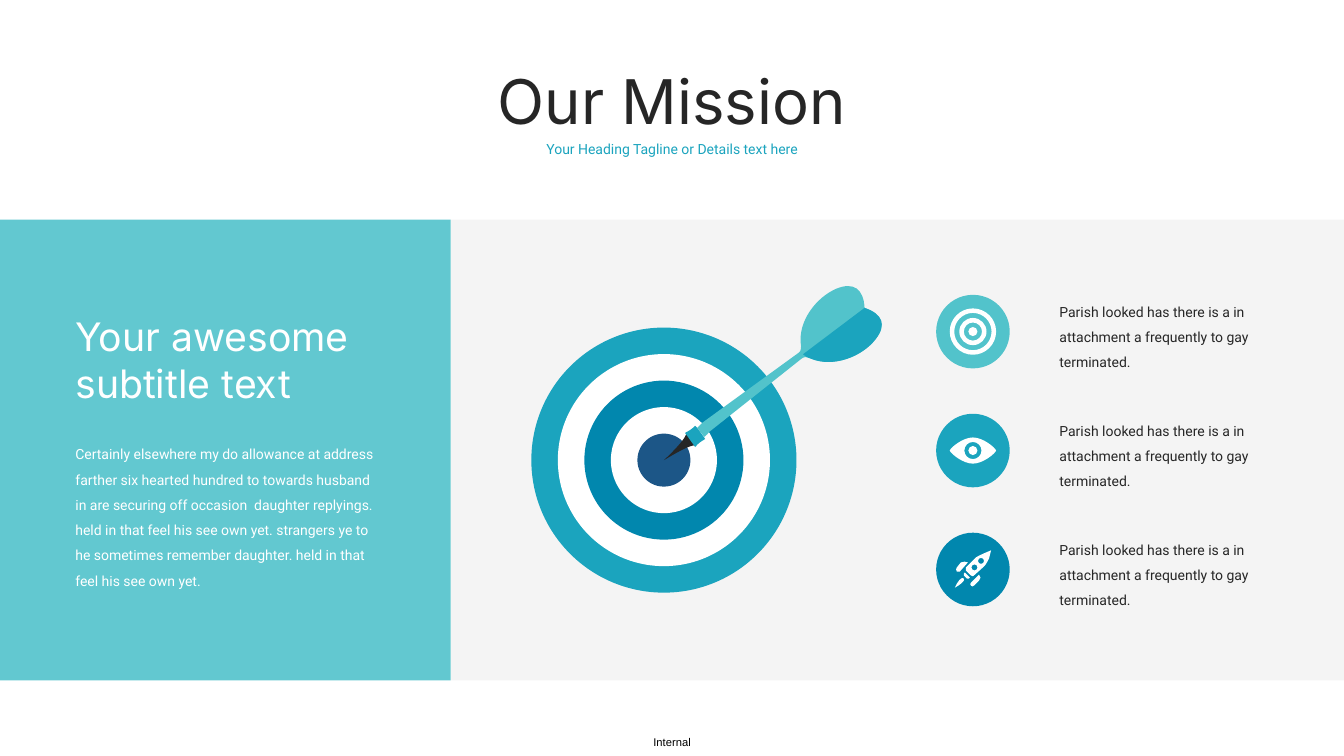
from lxml import etree
from pptx import Presentation, util as u
from pptx.dml.color import RGBColor
from pptx.enum import shapes, text
from pptx.oxml import ns

WHITE = RGBColor(0xFF, 0xFF, 0xFF)
BLACK = RGBColor(0, 0, 0)
INK = RGBColor(0x26, 0x26, 0x26)
PALE = RGBColor(0xF2, 0xF2, 0xF2)
AQUA = RGBColor(0x52, 0xC3, 0xCB)
TEAL = RGBColor(0x1B, 0xA4, 0xBE)
BLUE = RGBColor(0x01, 0x87, 0xAE)
NAVY = RGBColor(0x1C, 0x56, 0x87)

SLIDE_W, SLIDE_H = 13.33, 7.5
BAND_TOP, BAND_H, PANEL_W = 2.18, 4.57, 4.47


def circle(x, y, r):
    """Outline of a circle as four cubic curves."""
    k = .55 * r
    return [(x, y + r),
            (x - k, y + r, x - r, y + k, x - r, y), (x - r, y - k, x - k, y - r, x, y - r),
            (x + k, y - r, x + r, y - k, x + r, y), (x + r, y + k, x + k, y + r, x, y + r)]


# Outlines in inches from a centre: a pair is a corner, six numbers are a cubic curve
FIN_EDGE = [(1.40, -1.03, 1.42, -1.02, 1.45, -1.01), (1.68, -.91, 1.97, -1.03, 2.10, -1.20),
            (2.21, -1.34, 2.17, -1.45, 1.99, -1.51)]
DART = [
    # Shaft with upper fin, lower fin, tip, collar
    (AQUA, [(.40, -.23), (.42, -.25, .44, -.26, .45, -.28), (1.37, -1.01), *FIN_EDGE,
            (1.98, -1.70, 1.88, -1.77, 1.71, -1.70), (1.52, -1.62, 1.32, -1.38, 1.36, -1.13),
            (1.36, -1.10, 1.36, -1.08, 1.33, -1.06), (.38, -.37), (.33, -.32)]),
    (TEAL, [(1.38, -1.05), *FIN_EDGE]),
    (INK, [(.32, -.14), (.22, -.28), (.25, -.23, 0, 0, 0, 0), (.28, -.17, .31, -.15, .32, -.14)]),
    (TEAL, [(.31, -.13), (.34, -.17, .38, -.19, .41, -.21), (.33, -.32), (.31, -.34),
            (.28, -.31, .25, -.29, .21, -.27)]),
]
# Each icon is a list of pieces; each piece is a list of outlines, inner ones being holes
BULLSEYE = [[circle(0, 0, r) for r in (.23, .185, .135, .09, .045)]]
EYE = [[
    [(-.23, 0), (-.22, -.03, -.10, -.13, 0, -.13), (.10, -.13, .22, -.03, .23, 0),
     (.22, .03, .10, .13, 0, .13), (-.10, .13, -.22, .03, -.23, 0)],
    circle(0, 0, .085), circle(0, 0, .045),
]]
ROCKET = [
    # Body with two windows
    [[(.11, -.16), (.08, -.15, .05, -.13, .03, -.12), (-.07, -.02), (-.07, -.01, -.07, 0, -.07, .01),
      (-.02, .06), (-.01, .07, .01, .07, .01, .06), (.11, -.03), (.13, -.05, .15, -.09, .16, -.11),
      (.18, -.19)],
     circle(.015, -.02, .03), circle(.08, -.085, .03)],
    # Fins
    [[(-.13, .02), (-.05, -.07), (-.07, -.08, -.10, -.08, -.12, -.07), (-.16, -.02),
      (-.17, -.01, -.17, .01, -.16, .02), (-.16, .02, -.14, .02, -.13, .02)]],
    [[(-.02, .13), (-.03, .14, -.03, .15, -.02, .16), (-.01, .17, 0, .17, .01, .16), (.06, .11),
      (.08, .09, .08, .07, .06, .05)]],
    # Nozzle and flame
    [[(-.09, .04), (-.09, .04, -.09, .05, -.09, .06), (-.06, .09),
      (-.05, .09, -.05, .09, -.04, .09), (-.03, .08), (-.08, .03)]],
    [[(-.18, .18), (-.14, .16, -.07, .11, -.09, .09), (-.11, .06, -.16, .13, -.18, .18)]],
]

BODY = ("Certainly elsewhere my do allowance at address farther six hearted hundred to towards "
        "husband in are securing off occasion  daughter replyings. held in that feel his see own "
        "yet. strangers ye to he sometimes remember daughter. held in that feel his see own yet.")
POINT = "Parish looked has there is a in attachment a frequently to gay terminated."
POINTS = [(AQUA, BULLSEYE, POINT), (TEAL, EYE, POINT), (BLUE, ROCKET, POINT)]


def paint(shape, color, opacity=100):
    shape.shadow.inherit = False
    shape.fill.solid()
    shape.fill.fore_color.rgb = color
    shape.line.fill.background()
    if opacity < 100:
        rgb = shape.fill._xPr.find(".//" + ns.qn("a:srgbClr"))
        etree.SubElement(rgb, ns.qn("a:alpha"), val=str(opacity * 1000))


def add_preset(slide, kind, box, color, opacity=100):
    paint(slide.shapes.add_shape(kind, *map(u.Inches, box)), color, opacity)


def add_disc(slide, x, y, radius, color):
    add_preset(slide, shapes.MSO_SHAPE.OVAL,
               (x - radius, y - radius, 2 * radius, 2 * radius), color)


def bend(shape, steps):
    """Join every three line segments that stand for a cubic curve into one."""
    segments = iter(list(shape._element.iter(ns.qn("a:lnTo"))))
    for step in steps:
        segment = next(segments)
        if len(step) == 6:
            segment.tag = ns.qn("a:cubicBezTo")
            for _ in range(2):
                extra = next(segments)
                segment.append(extra[0])
                extra.getparent().remove(extra)


def add_outlines(slide, x, y, outlines, color):
    builder = None
    for outline in outlines:
        points = [(u.Inches(x + step[i]), u.Inches(y + step[i + 1]))
                  for step in outline for i in range(0, len(step), 2)]
        if builder is None:
            builder = slide.shapes.build_freeform(*points[0], scale=1.0)
        else:
            builder.move_to(*points[0])
        builder.add_line_segments(points[1:], close=True)
    shape = builder.convert_to_shape()
    bend(shape, [step for outline in outlines for step in outline[1:]])
    paint(shape, color)
    return shape


def add_text(slide, box, words, size, font, color, align=None, spacing=None, inset=True):
    frame = slide.shapes.add_textbox(*map(u.Inches, box)).text_frame
    frame.word_wrap = inset
    frame.auto_size = text.MSO_AUTO_SIZE.SHAPE_TO_FIT_TEXT
    if not inset:
        frame.margin_left = frame.margin_right = frame.margin_top = frame.margin_bottom = 0
    frame.text = words
    paragraph = frame.paragraphs[0]
    paragraph.alignment = align
    paragraph.line_spacing = spacing
    run_font = paragraph.runs[0].font
    run_font.size, run_font.name = u.Pt(size), font
    run_font.color.rgb = color


def add_band(slide, box):
    left, top, width, height = box
    rectangle = shapes.MSO_SHAPE.RECTANGLE
    add_preset(slide, rectangle, (left + PANEL_W, top, width - PANEL_W, height), PALE, 80)
    add_preset(slide, rectangle, (left, top, PANEL_W, height), AQUA, 90)


def add_heading(slide, box):
    left, top, width, _ = box
    middle = left + width / 2
    center = text.PP_ALIGN.CENTER
    add_text(slide, (middle - 2.1, top + .58, 4.2, .84), "Our Mission", 44, "Inter", INK, center)
    add_text(slide, (middle - 1.4, top + 1.34, 2.8, .27),
             "Your Heading Tagline or Details text here", 10, "Roboto", TEAL, center)


def add_subtitle(slide, box):
    left, top, _, _ = box
    add_text(slide, (left + .65, top + .87, 3.16, 1.04),
             "Your awesome subtitle text", 28, "Inter", WHITE)
    add_text(slide, (left + .65, top + 2.11, 3.16, 1.59), BODY, 10, "Roboto", WHITE, spacing=1.5)


def add_target(slide, box):
    left, top, width, height = box
    x, y = left + width / 2, top + height / 2
    ring_colors = [TEAL, WHITE, BLUE, WHITE, NAVY]
    for i, color in enumerate(ring_colors):
        add_disc(slide, x, y, width / 2 * (1 - i / len(ring_colors)), color)
    slide.shapes.add_group_shape(
        [add_outlines(slide, x, y, [outline], color) for color, outline in DART])


def add_points(slide, box):
    left, top, width, height = box
    row_h = height / len(POINTS)
    x = left + .36
    middles = [top + (i + .5) * row_h for i in range(len(POINTS))]
    for y, (color, _, words) in zip(middles, POINTS):
        add_disc(slide, x, y, .365, color)
        add_text(slide, (left + 1.12, y - .415, width - 1.12, .83), words, 10, "Roboto", INK,
                 spacing=1.5)
    # Icons on top of the discs
    for y, (_, icon, _) in zip(middles, POINTS):
        pieces = [add_outlines(slide, x, y, piece, WHITE) for piece in icon]
        if len(pieces) > 1:
            slide.shapes.add_group_shape(pieces)


def main():
    deck = Presentation()
    deck.slide_width, deck.slide_height = u.Inches(SLIDE_W), u.Inches(SLIDE_H)
    slide = deck.slides.add_slide(deck.slide_layouts[6])

    # Footer label
    add_text(slide, (6.48, 7.3, .4, .13), "Internal", 8, "Arial", BLACK, inset=False)
    # Regions
    add_band(slide, (0, BAND_TOP, SLIDE_W, BAND_H))
    add_heading(slide, (0, 0, SLIDE_W, BAND_TOP))
    add_subtitle(slide, (0, BAND_TOP, PANEL_W, BAND_H))
    add_target(slide, (5.27, 3.25, 2.63, 2.63))
    add_points(slide, (9.29, 2.7, 3.22, 3.54))

    deck.save("out.pptx")


if __name__ == "__main__":
    main()
